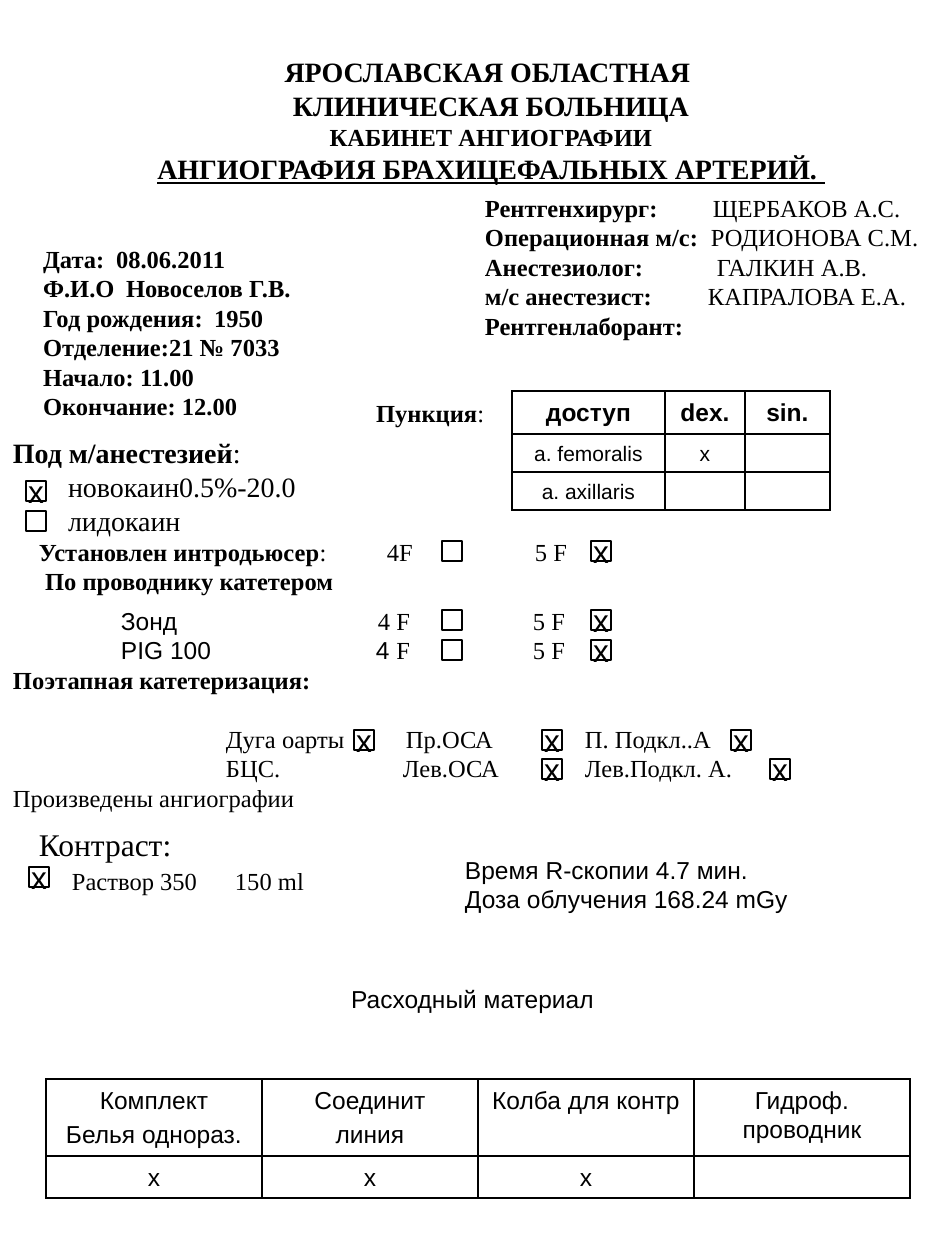
from lxml.etree import SubElement
from pptx import Presentation
from pptx.dml.color import RGBColor
from pptx.enum.shapes import MSO_SHAPE
from pptx.enum.text import MSO_ANCHOR, MSO_AUTO_SIZE, PP_ALIGN
from pptx.oxml.ns import qn
from pptx.util import Emu, Pt

COLORS = {"ink": "000000"}
INK = RGBColor.from_string(COLORS["ink"])
STYLES = {
    "serif": ("Times New Roman", False),
    "strong": ("Times New Roman", True),
    "sans": ("Arial", False),
    "sans strong": ("Arial", True),
}
LINE_HEIGHT = 1.2


def px(*values):
    """Turn pixel lengths (126 to the inch) into a list of EMU lengths."""
    return [Emu(round(value * 914400 / 126)) for value in values]


def format_paragraph(paragraph, size, style, align=PP_ALIGN.LEFT, stops=()):
    """Set alignment, line height, tab stops (px from the text edge) and font."""
    paragraph.alignment = align
    paragraph.line_spacing = Pt(size * LINE_HEIGHT)
    if stops:
        tab_list = SubElement(paragraph._p.get_or_add_pPr(), qn("a:tabLst"))
        for position in px(*stops):
            SubElement(tab_list, qn("a:tab"), pos=str(position), algn="l")
    font = paragraph.font
    font.size = Pt(size)
    font.name, font.bold = STYLES[style]
    font.color.rgb = INK


presentation = Presentation()
presentation.slide_width, presentation.slide_height = px(945, 1260)
slide = presentation.slides.add_slide(presentation.slide_layouts[5])

# Heading
title = slide.shapes.title
title.left, title.top, title.width, title.height = px(66, 55, 850, 132)
frame = title.text_frame
frame.auto_size = MSO_AUTO_SIZE.NONE
frame.vertical_anchor = MSO_ANCHOR.TOP
frame.margin_left = frame.margin_top = frame.margin_right = frame.margin_bottom = 0
frame.text = "\n".join([
    "ЯРОСЛАВСКАЯ ОБЛАСТНАЯ ",
    "КЛИНИЧЕСКАЯ БОЛЬНИЦА",
    "КАБИНЕТ АНГИОГРАФИИ",
    "АНГИОГРАФИЯ БРАХИЦЕФАЛЬНЫХ АРТЕРИЙ. ",
])
for paragraph, size in zip(frame.paragraphs, (16, 16, 14, 16)):
    format_paragraph(paragraph, size, "strong", PP_ALIGN.CENTER)
frame.paragraphs[-1].font.underline = True

# Form text: left, top, width, size, alignment, lines.
# Each line has its tab stops on the slide, then runs of (style, text).
form_texts = [
    (485, 193, 455, 14, PP_ALIGN.LEFT, [
        ([713], ("strong", "Рентгенхирург:\t"), ("serif", "ЩЕРБАКОВ А.С.")),
        ([711], ("strong", "Операционная м/с:\t"), ("serif", "РОДИОНОВА С.М.")),
        ([717], ("strong", "Анестезиолог:\t"), ("serif", "ГАЛКИН А.В.")),
        ([708], ("strong", "м/с анестезист:\t"), ("serif", "КАПРАЛОВА Е.А.")),
        ([], ("strong", "Рентгенлаборант:")),
    ]),
    (43, 244, 400, 14, PP_ALIGN.LEFT, [
        ([116], ("strong", "Дата:\t08.06.2011")),
        ([126], ("strong", "Ф.И.О\tНовоселов Г.В.")),
        ([214], ("strong", "Год рождения:\t1950")),
        ([], ("strong", "Отделение:21 № 7033")),
        ([], ("strong", "Начало: 11.00")),
        ([], ("strong", "Окончание: 12.00")),
    ]),
    (376, 398, 130, 14, PP_ALIGN.LEFT, [
        ([], ("strong", "Пункция"), ("serif", ":")),
    ]),
    (13, 436, 400, 16, PP_ALIGN.LEFT, [
        ([], ("strong", "Под м/анестезией"), ("serif", ":")),
        ([68], ("serif", "\tновокаин0.5%-20.0")),
        ([68], ("serif", "\tлидокаин")),
    ]),
    (39, 537, 770, 14, PP_ALIGN.LEFT, [
        ([387, 535], ("strong", "Установлен интродьюсер"), ("serif", ":\t4F\t5 F")),
        ([], ("strong", " По проводнику катетером")),
    ]),
    (13, 606, 920, 14, PP_ALIGN.LEFT, [
        ([121, 378, 533], ("sans", "\tЗонд\t"), ("serif", "4 F\t5 F")),
        ([121, 376, 533], ("sans", "\tРIG 100\t4 "), ("serif", "F\t5 F")),
        ([], ("strong", "Поэтапная катетеризация:")),
    ]),
    (13, 724, 920, 14, PP_ALIGN.LEFT, [
        ([226, 406, 585], ("serif", "\tДуга оарты\tПр.ОСА\tП. Подкл..А")),
        ([226, 403, 585], ("serif", "\tБЦС.\tЛев.ОСА\tЛев.Подкл. А.")),
        ([], ("serif", "Произведены ангиографии")),
    ]),
    (39, 825, 400, 18, PP_ALIGN.LEFT, [([], ("serif", "Контраст:"))]),
    (72, 866, 360, 14, PP_ALIGN.LEFT, [([235], ("serif", "Раствор 350\t150 ml"))]),
    (465, 855, 368, 14, PP_ALIGN.LEFT, [
        ([], ("sans", "Время R-скопии 4.7 мин.")),
        ([], ("sans", "Доза облучения 168.24 mGy")),
    ]),
    (0, 984, 945, 14, PP_ALIGN.CENTER, [([], ("sans", "Расходный материал"))]),
]
for left, top, width, size, align, lines in form_texts:
    height = len(lines) * size * LINE_HEIGHT * 1.75
    frame = slide.shapes.add_textbox(*px(left, top, width, height)).text_frame
    frame.word_wrap = True
    frame.margin_left = frame.margin_top = frame.margin_right = frame.margin_bottom = 0
    for _ in lines[1:]:
        frame.add_paragraph()
    for paragraph, (stops, *runs) in zip(frame.paragraphs, lines):
        first_style = runs[0][0]
        format_paragraph(paragraph, size, first_style, align,
                         [stop - left for stop in stops])
        for style, text in runs:
            run = paragraph.add_run()
            run.text = text
            if style != first_style:
                run.font.name, run.font.bold = STYLES[style]

# Checkboxes: left, top, mark
checkboxes = [
    (26, 481, "х"), (26, 511, ""),
    (442, 541, ""), (591, 541, "х"),
    (442, 610, ""), (591, 610, "х"),
    (442, 640, ""), (591, 640, "х"),
    (354, 730, "х"), (542, 730, "х"), (731, 730, "х"),
    (542, 759, "х"), (770, 759, "х"),
    (29, 867, "х"),
]
for left, top, mark in checkboxes:
    checkbox = slide.shapes.add_shape(MSO_SHAPE.RECTANGLE, *px(left, top, 20, 20))
    checkbox.shadow.inherit = False
    checkbox.fill.background()
    checkbox.line.color.rgb = INK
    checkbox.line.width = Pt(0.75)
    if mark:
        frame = checkbox.text_frame
        frame.word_wrap = False
        frame.vertical_anchor = MSO_ANCHOR.MIDDLE
        frame.margin_left = frame.margin_top = 0
        frame.margin_right = frame.margin_bottom = 0
        frame.text = mark
        format_paragraph(frame.paragraphs[0], 18, "sans", PP_ALIGN.CENTER)
        frame.paragraphs[0].line_spacing = None

# Tables: left, top, column widths, row heights, (size, style) of each row, cells
tables = [
    (512, 391, [153, 80, 85], [43, 38, 38],
     [(14, "sans strong"), (12, "sans"), (12, "sans")],
     [["доступ", "dex.", "sin."],
      ["a. femoralis", "х", ""],
      ["a. axillaris", "", ""]]),
    (46, 1079, [216] * 4, [77, 42],
     [(14, "sans"), (14, "sans")],
     [["Комплект\nБелья однораз.", "Соединит\nлиния", "Колба для контр",
       "Гидроф. проводник"],
      ["х", "х", "х", ""]]),
]
for left, top, widths, heights, row_styles, rows in tables:
    table = slide.shapes.add_table(len(rows), len(widths), *px(
        left, top, sum(widths), sum(heights))).table
    table.first_row = table.horz_banding = False
    for column, width in zip(table.columns, px(*widths)):
        column.width = width
    for row, height, (size, style), texts in zip(
            table.rows, px(*heights), row_styles, rows):
        row.height = height
        for cell, text in zip(row.cells, texts):
            properties = cell._tc.get_or_add_tcPr()
            for side in ("a:lnL", "a:lnR", "a:lnT", "a:lnB"):
                border = SubElement(properties, qn(side), w=str(Pt(1)))
                border_fill = SubElement(border, qn("a:solidFill"))
                SubElement(border_fill, qn("a:srgbClr"), val=COLORS["ink"])
            cell.fill.background()
            cell.text = text
            for index, paragraph in enumerate(cell.text_frame.paragraphs):
                format_paragraph(paragraph, size, style, PP_ALIGN.CENTER)
                if index:
                    paragraph.space_before = Pt(size * 0.2)
                if not text:
                    SubElement(paragraph._p, qn("a:endParaRPr"), sz=str(size * 100))

presentation.save("out.pptx")
